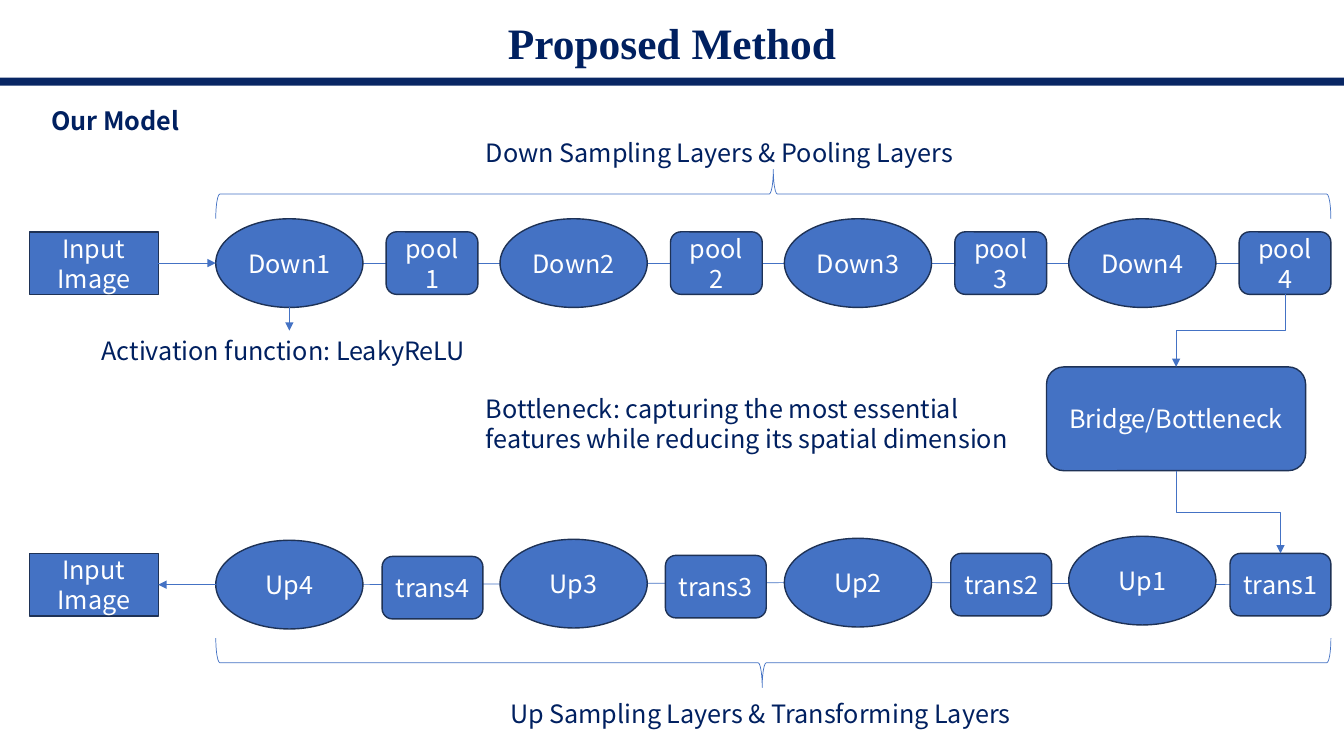
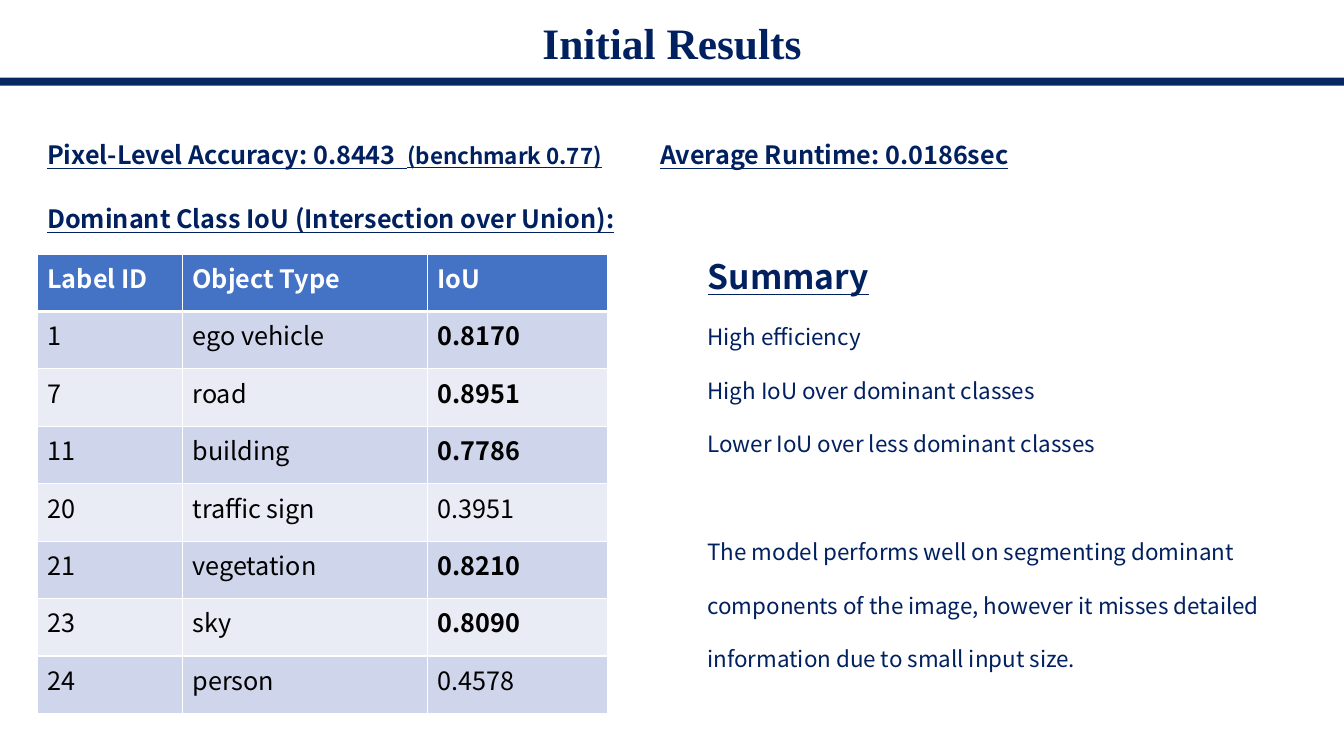
from lxml.etree import SubElement
from pptx import Presentation
from pptx.dml.color import RGBColor
from pptx.enum.shapes import MSO_CONNECTOR as CXN, MSO_SHAPE as SHAPE
from pptx.enum.text import MSO_ANCHOR as ANCHOR, PP_ALIGN as ALIGN
from pptx.oxml.ns import qn
from pptx.util import Inches, Pt

NAVY = RGBColor(0x00, 0x20, 0x60)
BLUE = RGBColor(0x44, 0x72, 0xC4)
EDGE = RGBColor(0x1E, 0x32, 0x56)
WHITE = RGBColor(0xFF, 0xFF, 0xFF)
BLACK = RGBColor(0x00, 0x00, 0x00)
BANDS = (RGBColor(0xCF, 0xD5, 0xEA), RGBColor(0xE9, 0xEB, 0xF5))
BODY_FONT = "Noto Sans CJK SC"
TITLE_FONT = "Times New Roman"
TOP, LEFT, BOTTOM, RIGHT = range(4)

STAGE_W, STAGE_H, STAGE_PITCH = 1.46, 0.88, 2.82
STEP_H = 0.62
IMAGE_W = 1.28


def write(p, text, size=18, color=NAVY, bold=False, underline=False,
          font=BODY_FONT, align=None, spacing=None, before=None):
    r = p.add_run()
    r.text = text
    r.font.name, r.font.size = font, Pt(size)
    r.font.bold, r.font.underline = bold, underline
    r.font.color.rgb = color
    if align is not None:
        p.alignment = align
    if spacing:
        p.line_spacing = spacing
    if before:
        p.space_before = Pt(before)
    return p


def add_frame(slide, box, anchor=ANCHOR.TOP):
    tf = slide.shapes.add_textbox(*map(Inches, box)).text_frame
    tf.word_wrap = True
    tf.vertical_anchor = anchor
    return tf


def add_label(slide, box, text, anchor=ANCHOR.TOP, **fmt):
    return write(add_frame(slide, box, anchor).paragraphs[0], text, **fmt)


def add_block(slide, kind, box, text):
    sp = slide.shapes.add_shape(kind, *map(Inches, box))
    sp.shadow.inherit = False
    sp.fill.solid()
    sp.fill.fore_color.rgb = BLUE
    sp.line.color.rgb = EDGE
    sp.line.width = Pt(1)
    sp.text_frame.vertical_anchor = ANCHOR.MIDDLE
    write(sp.text_frame.paragraphs[0], text, color=WHITE, align=ALIGN.CENTER)
    return sp


def add_link(slide, start, end, arrow=False, kind=CXN.STRAIGHT):
    link = slide.shapes.add_connector(kind, *map(Inches, (*start, *end)))
    link.line.color.rgb = BLUE
    link.line.width = Pt(0.5)
    if arrow:
        SubElement(link.line._get_or_add_ln(), qn("a:tailEnd"), type="triangle")
    SubElement(link.element.spPr, qn("a:effectLst"))
    return link


def add_elbow_down(slide, upper, lower):
    link = add_link(slide, (0, 0), (1, 1), arrow=True, kind=CXN.ELBOW)
    link.begin_connect(upper, BOTTOM)
    link.end_connect(lower, TOP)
    x1, y1, x2, y2 = link.begin_x, link.begin_y, link.end_x, link.end_y
    link.width, link.height = y2 - y1, abs(x2 - x1)
    link.left = (x1 + x2 - link.width) // 2
    link.top = (y1 + y2 - link.height) // 2
    xfrm = link.element.spPr.find(qn("a:xfrm"))
    xfrm.attrib.clear()
    if x2 < x1:
        xfrm.set("rot", "5400000")
    else:
        xfrm.set("rot", "16200000")
        xfrm.set("flipH", "1")


def add_brace(slide, box, rotation, tip=0.5):
    x, y, w, h = box
    left, top = x + (w - h) / 2, y + (h - w) / 2
    sp = slide.shapes.add_shape(SHAPE.RIGHT_BRACE, *map(Inches, (left, top, h, w)))
    sp.shadow.inherit = False
    sp.rotation = rotation
    sp.adjustments[1] = tip
    sp.fill.background()
    sp.line.color.rgb = BLUE
    sp.line.width = Pt(0.5)


def add_slide(prs, title):
    slide = prs.slides.add_slide(prs.slide_layouts[6])
    add_label(slide, (0, 0.14, 13.33, 0.63), title, ANCHOR.MIDDLE, size=31,
              bold=True, font=TITLE_FONT, align=ALIGN.CENTER, spacing=0.9)
    bar = slide.shapes.add_shape(SHAPE.RECTANGLE, *map(Inches, (-0.02, 0.77, 13.36, 0.08)))
    bar.shadow.inherit = False
    bar.line.fill.background()
    bar.fill.solid()
    bar.fill.fore_color.rgb = NAVY
    color = bar.element.spPr.find(qn("a:solidFill"))[0]
    SubElement(color, qn("a:alpha"), val="97000")
    return slide


def add_row(slide, x, stages, steps, step_w, spans, image_y, inward):
    edge = [x + i * STAGE_PITCH for i in range(len(stages))]
    middle = [y + STAGE_H / 2 for _, y in stages]
    links = []
    for first, last in spans:
        start = (edge[first] + STAGE_W, middle[first])
        end = (edge[last], middle[last]) if last < len(edge) else (steps[-1][1], middle[first])
        links.append(add_link(slide, start, end))
    for left, (name, y) in zip(edge, stages):
        add_block(slide, SHAPE.OVAL, (left, y, STAGE_W, STAGE_H), name)
    for name, left, y in steps:
        last_step = add_block(slide, SHAPE.ROUNDED_RECTANGLE, (left, y, step_w, STEP_H), name)
    links[-1].end_connect(last_step, LEFT)

    image = add_block(slide, SHAPE.RECTANGLE, (0.29, image_y, IMAGE_W, STEP_H), "Input Image")
    side, port = (0.29 + IMAGE_W, image_y + STEP_H / 2), (x, middle[0])
    if inward:
        add_link(slide, side, port, arrow=True).begin_connect(image, RIGHT)
    else:
        add_link(slide, port, side, arrow=True).end_connect(image, RIGHT)
    return last_step


def build_method(prs):
    slide = add_slide(prs, "Proposed Method")
    add_label(slide, (0.41, 1, 1.77, 0.4), "Our Model", bold=True)
    x = 2.14
    pool4 = add_row(
        slide, x, [(f"Down{i}", 2.17) for i in range(1, 5)],
        [(f"pool{i + 1}", 3.83 + i * STAGE_PITCH, 2.3) for i in range(4)],
        0.91, [(0, 1), (1, 2), (2, 3), (3, 4)], 2.3, inward=True)
    trans1 = add_row(
        slide, x, [("Up4", 5.36), ("Up3", 5.35), ("Up2", 5.34), ("Up1", 5.32)],
        [("trans4", 3.79, 5.52), ("trans3", 6.6, 5.51),
         ("trans2", 9.43, 5.49), ("trans1", 12.2, 5.49)],
        1, [(0, 2), (2, 4)], 5.49, inward=False)
    bridge = add_block(slide, SHAPE.ROUNDED_RECTANGLE, (10.38, 3.64, 2.57, 1.03),
                       "Bridge/Bottleneck")
    add_elbow_down(slide, pool4, bridge)
    add_elbow_down(slide, bridge, trans1)

    add_brace(slide, (x, 1.68, 11.06, 0.49), 270)
    add_brace(slide, (x, 6.33, 11.06, 0.49), 90, tip=0.51)
    add_label(slide, (4.72, 1.31, 5.49, 0.4), "Down Sampling Layers & Pooling Layers")
    add_label(slide, (4.96, 6.88, 5.49, 0.4), "Up Sampling Layers & Transforming Layers")
    add_label(slide, (4.72, 3.85, 5.6, 0.71),
              "Bottleneck: capturing the most essential features "
              "while reducing its spatial dimension")
    center = x + STAGE_W / 2
    add_link(slide, (center, 3.05), (center, 3.28), arrow=True)
    add_label(slide, (0.91, 3.28, 3.93, 0.4), "Activation function: LeakyReLU")


def add_borders(cell, top, bottom):
    tcPr = cell._tc.get_or_add_tcPr()
    for side, width in (("L", 1), ("R", 1), ("T", top), ("B", bottom)):
        ln = SubElement(tcPr, qn(f"a:ln{side}"), w=str(Pt(width)))
        fill = SubElement(ln, qn("a:solidFill"))
        SubElement(fill, qn("a:srgbClr"), val=str(WHITE))


def add_iou_table(slide, x, y):
    rows = [
        ("Label ID", "Object Type", "IoU"),
        ("1", "ego vehicle", "0.8170"),
        ("7", "road", "0.8951"),
        ("11", "building", "0.7786"),
        ("20", "traffic sign", "0.3951"),
        ("21", "vegetation", "0.8210"),
        ("23", "sky", "0.8090"),
        ("24", "person", "0.4578"),
    ]
    widths, row_h = (1.44, 2.43, 1.79), 0.57
    table = slide.shapes.add_table(
        len(rows), len(widths),
        *map(Inches, (x, y, sum(widths), row_h * len(rows)))).table
    for column, width in zip(table.columns, widths):
        column.width = Inches(width)
    for i, row in enumerate(rows):
        table.rows[i].height = Inches(row_h)
        header = i == 0
        for j, text in enumerate(row):
            cell = table.cell(i, j)
            add_borders(cell, 3 if i == 1 else 1, 3 if header else 1)
            cell.fill.solid()
            cell.fill.fore_color.rgb = BLUE if header else BANDS[(i - 1) % 2]
            strong = header or (j == 2 and float(text) > 0.5)
            write(cell.text_frame.paragraphs[0], text, bold=strong,
                  color=WHITE if header else BLACK)


def add_summary(slide, box):
    tf = add_frame(slide, box, ANCHOR.BOTTOM)
    write(tf.paragraphs[0], "Summary", size=24, bold=True, underline=True, spacing=2)
    for text in ("High efficiency", "High IoU over dominant classes",
                 "Lower IoU over less dominant classes"):
        write(tf.add_paragraph(), text, size=16, spacing=2)
    write(tf.add_paragraph(),
          "The model performs well on segmenting dominant components of the image, "
          "however it misses detailed information due to small input size.",
          size=16, spacing=2, before=38.5)


def build_results(prs):
    slide = add_slide(prs, "Initial Results")
    heading = dict(anchor=ANCHOR.BOTTOM, bold=True, underline=True, spacing=2)
    p = add_label(slide, (0.37, 1.24, 11.83, 0.49), "Pixel-Level Accuracy: 0.8443  ", **heading)
    write(p, "(benchmark 0.77)", size=16, bold=True, underline=True)
    add_label(slide, (0.37, 1.88, 11.83, 0.49),
              "Dominant Class IoU (Intersection over Union):", **heading)
    add_label(slide, (6.45, 1.24, 6.24, 0.49), "Average Runtime: 0.0186sec", **heading)
    add_iou_table(slide, 0.37, 2.52)
    add_summary(slide, (6.92, 2.75, 5.67, 3.97))


def main():
    prs = Presentation()
    prs.slide_width, prs.slide_height = Inches(13.33), Inches(7.5)
    build_method(prs)
    build_results(prs)
    prs.save("out.pptx")


if __name__ == "__main__":
    main()
